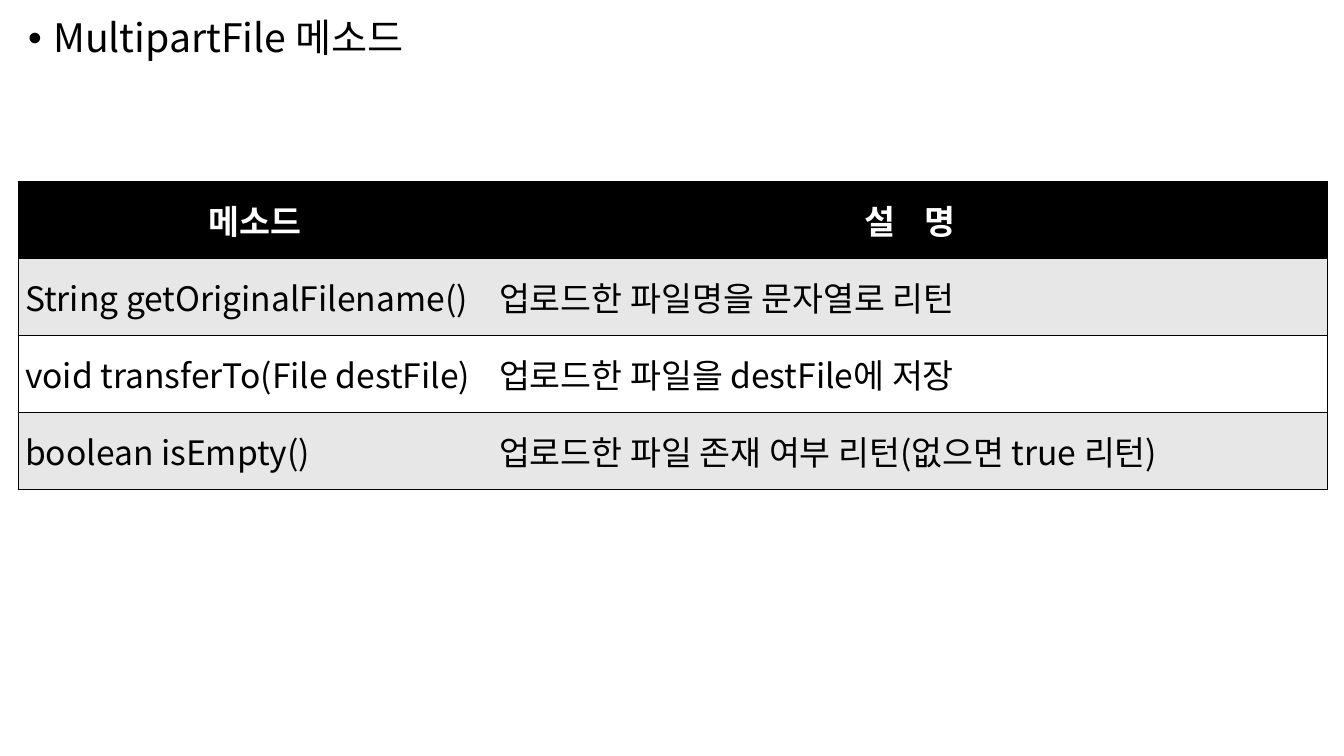
import pptx
import pptx.util
import pptx.dml.color
import pptx.enum.text
import pptx.oxml
import pptx.oxml.ns
from lxml import etree

Inches, Pt = pptx.util.Inches, pptx.util.Pt
ALIGN = pptx.enum.text.PP_ALIGN
FONT = "Noto Sans CJK KR"
BLACK, WHITE, GREY = "000000", "FFFFFF", "E7E7E7"

HEADING = "MultipartFile 메소드"
METHODS = [
    ("메소드", "설 명"),
    ("String getOriginalFilename()", "업로드한 파일명을 문자열로 리턴"),
    ("void transferTo(File destFile)", "업로드한 파일을 destFile에 저장"),
    ("boolean isEmpty()", "업로드한 파일 존재 여부 리턴(없으면 true 리턴)"),
]
COLUMN_WIDTHS = (4.7, 8.29)
ROW_HEIGHT = 0.765
LEFT, TABLE_TOP = 0.18, 1.8
HEADER_LETTER_SPACING = 8  # points, widens the gap in the second header


def rgb(hex_code):
    return pptx.dml.color.RGBColor.from_string(hex_code)


def add_child(parent, tag, **attributes):
    return etree.SubElement(parent, pptx.oxml.ns.qn(tag), attributes)


def write(paragraph, wording, size, color, bold=False):
    run = paragraph.add_run()
    run.text = wording
    for name, value in {"size": Pt(size), "bold": bold, "name": FONT}.items():
        setattr(run.font, name, value)
    run.font.color.rgb = rgb(color)
    add_child(run.font._element, "a:ea", typeface=FONT)
    return run


def set_borders(cell, visible_sides):
    """Draw a 1 pt black line on the visible sides and none on the others."""
    properties = cell._tc.get_or_add_tcPr()
    for position, side in enumerate("LRTB"):
        line = pptx.oxml.parse_xml(
            f'<a:ln{side} {pptx.oxml.ns.nsdecls("a")} w="{Pt(1)}"/>')
        if side in visible_sides:
            add_child(add_child(line, "a:solidFill"), "a:srgbClr", val=BLACK)
        else:
            add_child(line, "a:noFill")
        properties.insert(position, line)


def add_heading(slide):
    box = slide.shapes.add_textbox(
        Inches(LEFT), Inches(0.14), Inches(12.99), Inches(7.22))
    box.text_frame.word_wrap = True
    paragraph = box.text_frame.paragraphs[0]
    paragraph.line_spacing = 0.9
    paragraph.space_before = Pt(10)
    write(paragraph, HEADING, 28, BLACK)
    properties = paragraph._p.get_or_add_pPr()
    properties.set("marL", str(Inches(0.25)))
    properties.set("indent", str(Inches(-0.25)))
    add_child(properties, "a:buFont", typeface="Arial")
    add_child(properties, "a:buChar", char="•")


def add_methods(slide):
    table = slide.shapes.add_table(
        len(METHODS), len(COLUMN_WIDTHS), Inches(LEFT), Inches(TABLE_TOP),
        Inches(sum(COLUMN_WIDTHS)), Inches(ROW_HEIGHT * len(METHODS))).table
    for column, width in zip(table.columns, COLUMN_WIDTHS):
        column.width = Inches(width)
    cell_format = {
        "margin_left": Inches(0.07), "margin_right": Inches(0.07),
        "margin_top": 0, "margin_bottom": 0,
        "vertical_anchor": pptx.enum.text.MSO_ANCHOR.MIDDLE,
    }
    for r, method in enumerate(METHODS):
        table.rows[r].height = Inches(ROW_HEIGHT)
        header = r == 0
        fill = BLACK if header else (GREY if r % 2 else WHITE)
        for c, wording in enumerate(method):
            cell = table.cell(r, c)
            for name, value in cell_format.items():
                setattr(cell, name, value)
            cell.fill.solid()
            cell.fill.fore_color.rgb = rgb(fill)
            set_borders(cell, "TBL" if c == 0 else "TBR")
            paragraph = cell.text_frame.paragraphs[0]
            paragraph.alignment = ALIGN.CENTER if header else ALIGN.LEFT
            run = write(paragraph, wording, 24, WHITE if header else BLACK, header)
            if header and c == 1:
                run.font._element.set("spc", str(HEADER_LETTER_SPACING * 100))


def main():
    deck = pptx.Presentation()
    deck.slide_width, deck.slide_height = Inches(13.33), Inches(7.5)
    slide = deck.slides.add_slide(deck.slide_layouts[6])
    add_heading(slide)
    add_methods(slide)
    deck.save("out.pptx")


if __name__ == "__main__":
    main()
